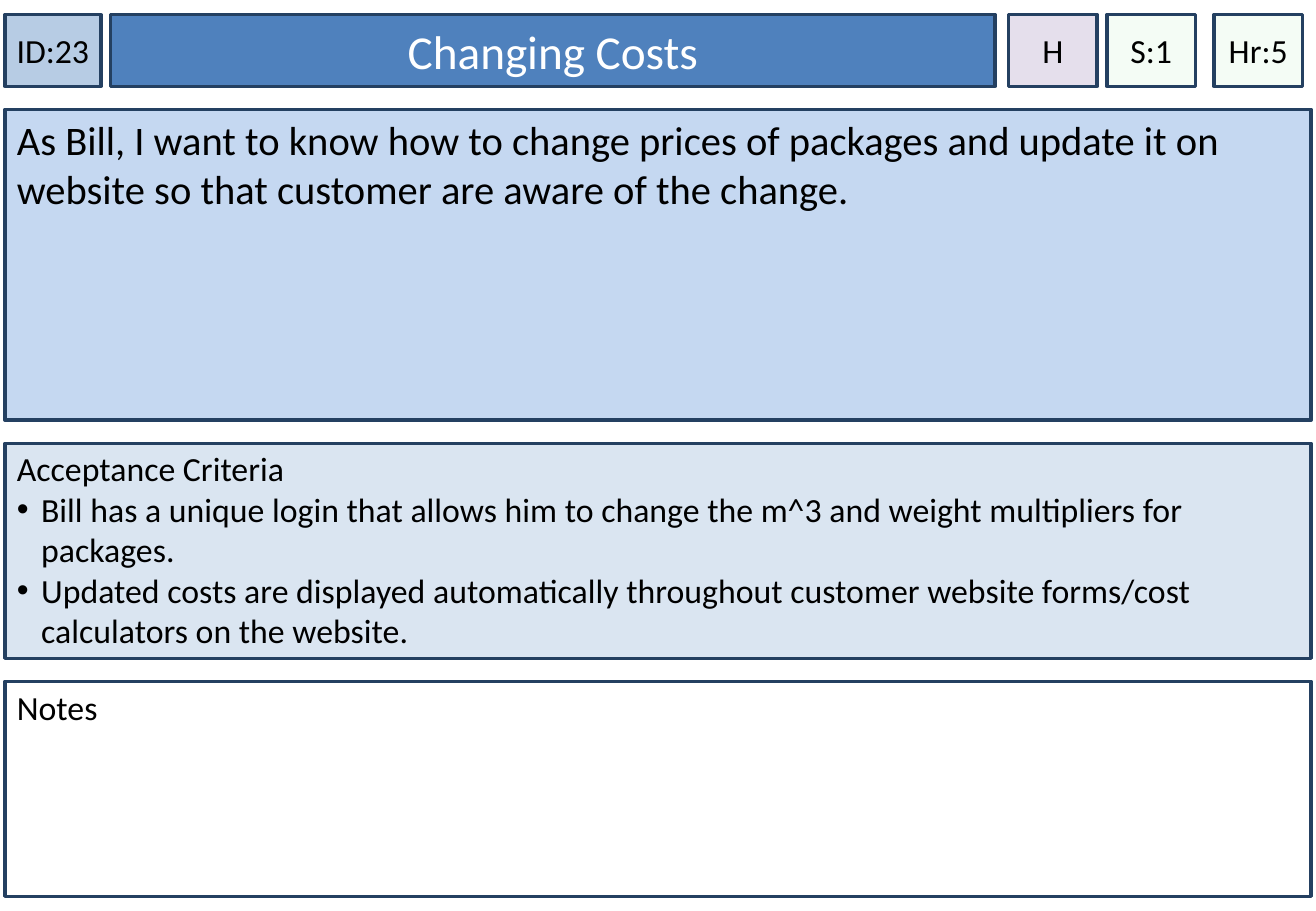
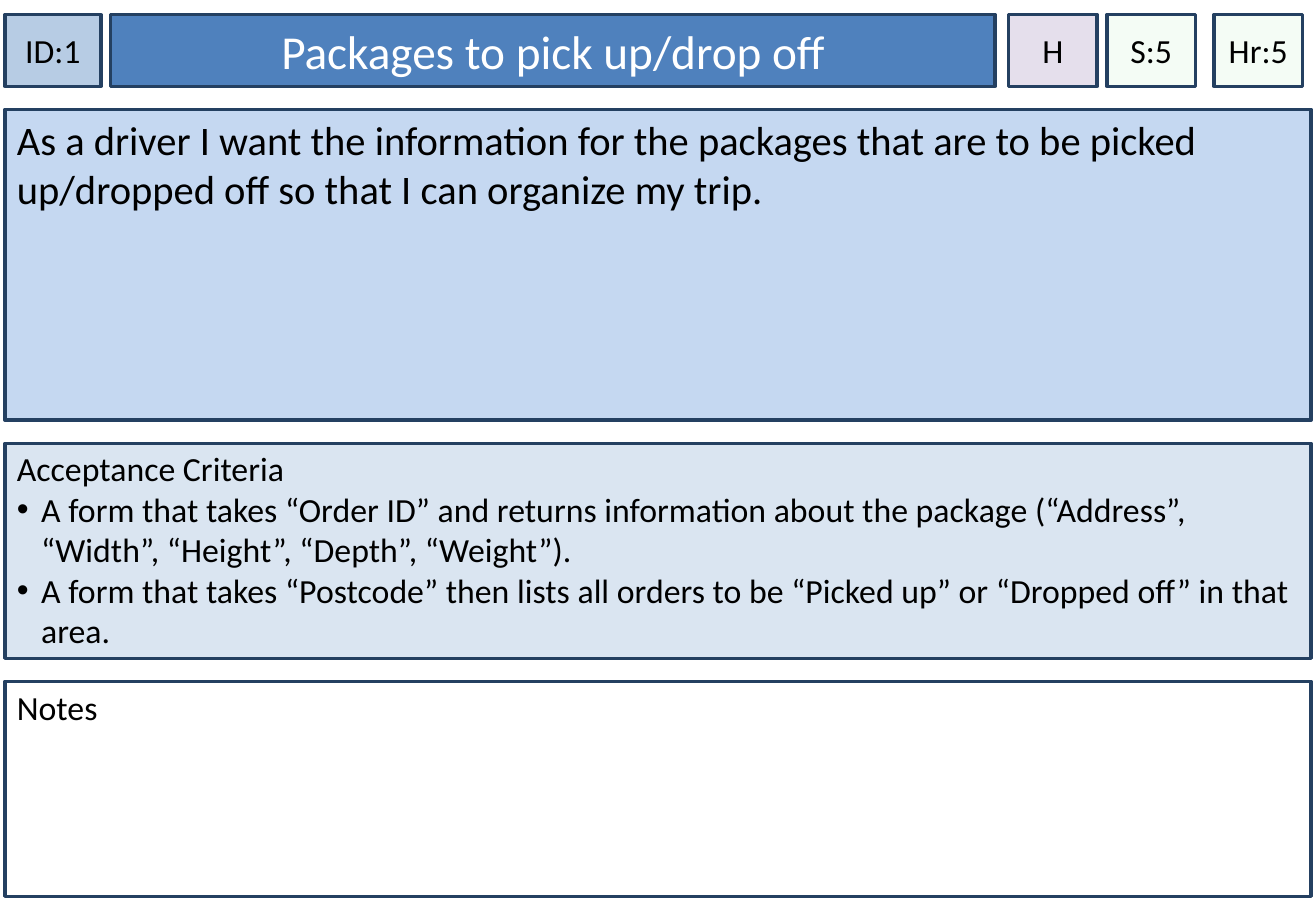
import pptx
import pptx.util
import pptx.dml.color
import pptx.enum.shapes
import pptx.enum.text
import pptx.oxml.ns
from lxml import etree

RGBColor = pptx.dml.color.RGBColor
ALIGN = pptx.enum.text.PP_ALIGN
ANCHOR = pptx.enum.text.MSO_ANCHOR

# Content
STORIES = [
    {
        "id": "ID:23", "title": "Changing Costs",
        "priority": "H", "size": "S:1", "hours": "Hr:5",
        "story": "As Bill, I want to know how to change prices of packages and "
                 "update it on website so that customer are aware of the change.",
        "criteria": [
            "Bill has a unique login that allows him to change the m^3 and "
            "weight multipliers for packages.",
            "Updated costs are displayed automatically throughout customer "
            "website forms/cost calculators on the website.",
        ],
    },
    {
        "id": "ID:1", "title": "Packages to pick up/drop off",
        "priority": "H", "size": "S:5", "hours": "Hr:5",
        "story": "As a driver I want the information for the packages that are to "
                 "be picked up/dropped off so that I can organize my trip.",
        "criteria": [
            "A form that takes “Order ID” and returns information about the "
            "package (“Address”, “Width”, “Height”, “Depth”, “Weight”).",
            "A form that takes “Postcode” then lists all orders to be "
            "“Picked up” or “Dropped off” in that area.",
        ],
    },
]

# Shared style
FONT = "Calibri"
BLACK = RGBColor(0x00, 0x00, 0x00)
WHITE = RGBColor(0xFF, 0xFF, 0xFF)
NAVY = RGBColor(0x24, 0x40, 0x61)
BLUE = RGBColor(0x4F, 0x81, 0xBD)
ID_BLUE = RGBColor(0xB7, 0xCC, 0xE4)
STORY_BLUE = RGBColor(0xC5, 0xD8, 0xF1)
CRITERIA_BLUE = RGBColor(0xDA, 0xE5, 0xF1)
LILAC = RGBColor(0xE5, 0xDF, 0xEC)
GREEN = RGBColor(0xCC, 0xF0, 0xCD)

# Layout in px, 100 to the inch
SLIDE_WIDTH, SLIDE_HEIGHT = 1083, 750
LEFT = 4
HEADER_TOP, HEADER_HEIGHT = 12, 59
PANEL_TOP, PANEL_WIDTH, PANEL_GAP = 90, 1075, 19
BULLET_INDENT = 20

# Header boxes: key, left, width, fill, opacity %, side inset, size, colour
HEADER = [
    ("id", LEFT, 79, ID_BLUE, 100, 0, 20, BLACK),
    ("title", 91, 728, BLUE, 100, 10, 28, WHITE),
    ("priority", 830, 73, LILAC, 100, 0, 20, BLACK),
    ("size", 911, 73, GREEN, 20, 0, 20, BLACK),
    ("hours", 999, 73, GREEN, 20, 0, 20, BLACK),
]


def px(length):
    return pptx.util.Emu(length * 9144)


def add_box(slide, left, top, width, height, fill, side_inset=10, top_inset=5):
    shape = slide.shapes.add_shape(
        pptx.enum.shapes.MSO_SHAPE.RECTANGLE,
        px(left), px(top), px(width), px(height))
    shape.shadow.inherit = False
    shape.fill.solid()
    shape.fill.fore_color.rgb = fill
    shape.line.color.rgb = NAVY
    shape.line.width = pptx.util.Pt(2)
    frame = shape.text_frame
    frame.word_wrap = True
    frame.margin_left = frame.margin_right = px(side_inset)
    frame.margin_top, frame.margin_bottom = px(top_inset), px(5)
    return shape


def set_opacity(shape, percent):
    qn = pptx.oxml.ns.qn
    color = shape.fill._xPr.find(qn("a:solidFill")).find(qn("a:srgbClr"))
    etree.SubElement(color, qn("a:alpha"), val=str(percent * 1000))


def write(shape, lines, size, color=BLACK, align=ALIGN.LEFT, anchor=ANCHOR.TOP):
    frame = shape.text_frame
    frame.vertical_anchor = anchor
    frame.text = "\n".join(lines)
    for paragraph in frame.paragraphs:
        paragraph.alignment = align
        paragraph.font.name = FONT
        paragraph.font.size = pptx.util.Pt(size)
        paragraph.font.color.rgb = color


def add_bullet(paragraph):
    qn = pptx.oxml.ns.qn
    properties = paragraph._p.get_or_add_pPr()
    properties.set("marL", str(px(BULLET_INDENT)))
    properties.set("indent", str(-px(BULLET_INDENT)))
    font = etree.Element(qn("a:buFont"), typeface="Arial")
    bullet = etree.Element(qn("a:buChar"), char="•")
    properties.insert(0, font)
    properties.insert(1, bullet)


def add_story_card(presentation, story):
    slide = presentation.slides.add_slide(presentation.slide_layouts[6])

    # Header row
    for key, left, width, fill, opacity, inset, size, color in HEADER:
        box = add_box(slide, left, HEADER_TOP, width, HEADER_HEIGHT, fill, inset)
        if opacity < 100:
            set_opacity(box, opacity)
        write(box, [story[key]], size, color, ALIGN.CENTER, ANCHOR.MIDDLE)

    # Stacked panels: heading, bullets, height, fill, top inset, size
    panels = [
        (story["story"], [], 256, STORY_BLUE, 5, 24),
        ("Acceptance Criteria", story["criteria"], 177, CRITERIA_BLUE, 4, 20),
        ("Notes", [], 177, WHITE, 4, 20),
    ]
    top = PANEL_TOP
    for heading, bullets, height, fill, inset, size in panels:
        panel = add_box(slide, LEFT, top, PANEL_WIDTH, height, fill, top_inset=inset)
        write(panel, [heading, *bullets], size)
        for paragraph in panel.text_frame.paragraphs[1:]:
            add_bullet(paragraph)
        top += height + PANEL_GAP


def main():
    presentation = pptx.Presentation()
    presentation.slide_width = px(SLIDE_WIDTH)
    presentation.slide_height = px(SLIDE_HEIGHT)
    for story in STORIES:
        add_story_card(presentation, story)
    presentation.save("out.pptx")


if __name__ == "__main__":
    main()
